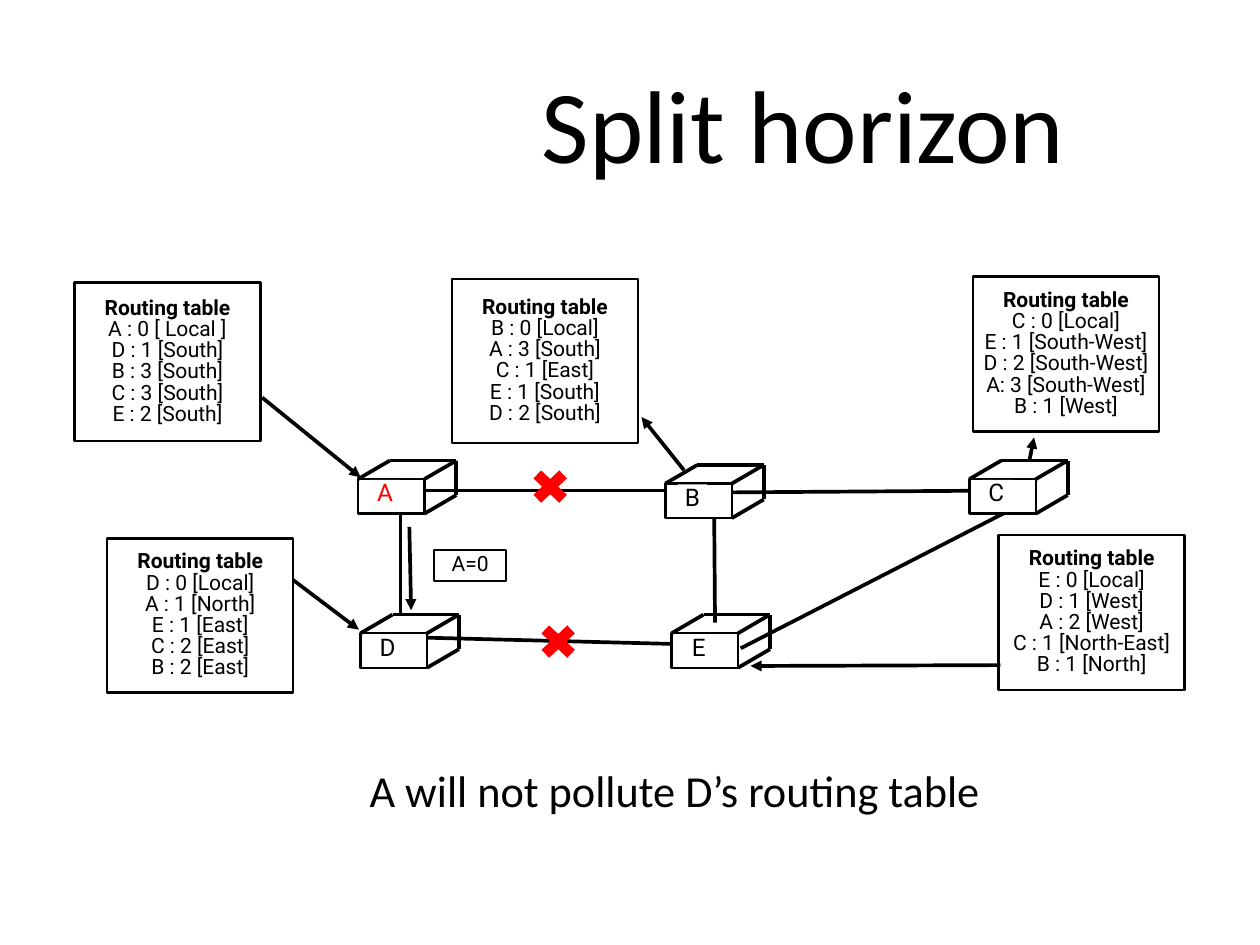
"""Build the split horizon routing slide on a grid of tenth-inch cells."""
from dataclasses import dataclass

from lxml.etree import SubElement
from pptx import Presentation
from pptx.dml.color import RGBColor
from pptx.enum.shapes import MSO_CONNECTOR as Connector, MSO_SHAPE as Preset
from pptx.enum.text import MSO_ANCHOR as Anchor, PP_ALIGN as Align
from pptx.oxml.ns import qn
from pptx.util import Emu, Inches, Pt

CELL = Inches(0.1)
COLUMNS, ROWS = 142.2, 106.7
COLORS = {"ink": "000000", "paper": "FFFFFF", "alert": "FF0000"}
LINE_SPACING = 0.84
CUBE_WIDTH, CUBE_HEIGHT = 7.5, 3.9
DEPTH_X, DEPTH_Y = 3.6, -2.1
TABLE_WIDTH = 21


@dataclass(frozen=True)
class Area:
    column: float
    row: float
    width: float
    height: float

    def emu(self) -> list[Emu]:
        return [cells(n) for n in (self.column, self.row, self.width, self.height)]


@dataclass(frozen=True)
class Stroke:
    start: tuple[float, float]
    end: tuple[float, float]
    arrow: bool = False


@dataclass(frozen=True)
class Router:
    name: str
    column: float
    row: float
    color: str = "ink"


@dataclass(frozen=True)
class RoutingTable:
    column: float
    row: float
    height: float
    routes: tuple[str, ...]


LINKS = (
    Stroke((45.2, 57.9), (45.2, 69.4)),
    Stroke((48.1, 72), (79.5, 72.8)),
    Stroke((47.5, 55.4), (79.2, 55.4)),
    Stroke((80.6, 57.8), (80.7, 70.3)),
    Stroke((83.6, 73.2), (113.4, 57.9)),
    Stroke((82.1, 55.6), (111.9, 55.4)),
)
ROUTERS = (
    Router("A", 40.4, 54.1, "alert"),
    Router("B", 75.1, 54.6),
    Router("C", 109.4, 54.1),
    Router("D", 40.7, 71.5),
    Router("E", 75.8, 71.5),
)
TABLES = (
    RoutingTable(8.4, 31.9, 17.9, ("A : 0 [ Local ]", "D : 1 [South]", "B : 3 [South]",
                                   "C : 3 [South]", "E : 2 [South]")),
    RoutingTable(51, 31.5, 18.5, ("B : 0 [Local]", "A : 3 [South]", "C : 1 [East]",
                                  "E : 1 [South]", "D : 2 [South]")),
    RoutingTable(109.8, 31.2, 17.5, ("C : 0 [Local]", "E : 1 [South-West]",
                                     "D : 2 [South-West]", "A: 3 [South-West]",
                                     "B : 1 [West]")),
    RoutingTable(12.1, 60.8, 17.4, ("D : 0 [Local]", "A : 1 [North]", "E : 1 [East]",
                                    "C : 2 [East]", "B : 2 [East]")),
    RoutingTable(112.7, 60.4, 17.5, ("E : 0 [Local]", "D : 1 [West]", "A : 2 [West]",
                                     "C : 1 [North-East]", "B : 1 [North]")),
)
ARROWS = (
    Stroke((29.6, 44.9), (40.7, 53.9), True),
    Stroke((77.2, 53.1), (72.4, 47.1), True),
    Stroke((116.2, 51.9), (116.7, 49.4), True),
    Stroke((33.1, 65.5), (40.5, 71.1), True),
    Stroke((112.9, 75.1), (84.7, 75.2), True),
    Stroke((46.2, 59.5), (46.4, 68.9), True),
)
BLOCKS = (Area(59.3, 52.3, 5.6, 5.3), Area(60.2, 69.8, 5.6, 5.3))


def cells(count: float) -> Emu:
    return Emu(round(count * CELL))


def rgb(name: str) -> RGBColor:
    return RGBColor.from_string(COLORS[name])


def write(box, text: str, size: float, font: str = "Roboto", color: str = "ink",
          anchor=Anchor.MIDDLE, inset: float = 0, wrap: bool = True) -> None:
    frame = box.text_frame
    frame.text = text
    frame.word_wrap = wrap
    frame.vertical_anchor = anchor
    frame.margin_left = frame.margin_right = cells(inset)
    frame.margin_top = frame.margin_bottom = cells(inset)
    for para in frame.paragraphs:
        para.alignment = Align.CENTER
        para.line_spacing = LINE_SPACING
        for span in para.runs:
            span.font.size = Pt(size)
            span.font.name = font
            span.font.color.rgb = rgb(color)


def draw_shape(page, preset, area: Area, fill: str = "", line: str = ""):
    box = page.shapes.add_shape(preset, *area.emu())
    box.shadow.inherit = False
    if fill:
        box.fill.solid()
        box.fill.fore_color.rgb = rgb(fill)
    else:
        box.fill.background()
    if line:
        box.line.color.rgb = rgb(line)
        box.line.width = Pt(2)
    else:
        box.line.fill.background()
    return box


def draw_frame(page, area: Area, fill: str = ""):
    box = draw_shape(page, Preset.ROUNDED_RECTANGLE, area, fill, "ink")
    box.adjustments[0] = 0
    return box


def draw_stroke(page, stroke: Stroke) -> None:
    ends = [cells(n) for n in stroke.start + stroke.end]
    line = page.shapes.add_connector(Connector.STRAIGHT, *ends)
    line.line.color.rgb = rgb("ink")
    line.line.width = Pt(3)
    properties = line._element.spPr
    if stroke.arrow:
        SubElement(properties.find(qn("a:ln")), qn("a:tailEnd"), type="triangle")
    SubElement(properties, qn("a:effectLst"))


def draw_router(page, router: Router) -> None:
    left, top = router.column, router.row
    right, bottom = left + CUBE_WIDTH, top + CUBE_HEIGHT
    draw_frame(page, Area(left, top, CUBE_WIDTH, CUBE_HEIGHT), "paper")
    front = ((left, top), (right, top), (right, bottom))
    back = tuple((column + DEPTH_X, row + DEPTH_Y) for column, row in front)
    for start, end in (*zip(front, back), *zip(back, back[1:])):
        draw_stroke(page, Stroke(start, end))
    label = draw_shape(page, Preset.RECTANGLE, Area(left + 1.4, top + 0.1, 3.3, 3.3), "paper")
    write(label, router.name, 19.7, color=router.color, wrap=False)


def draw_table(page, table: RoutingTable) -> None:
    box = draw_frame(page, Area(table.column, table.row, TABLE_WIDTH, table.height))
    write(box, "\n".join(("Routing table", *table.routes)), 17.1)
    box.text_frame.paragraphs[0].runs[0].font.bold = True


def main() -> None:
    deck = Presentation()
    deck.slide_width, deck.slide_height = cells(COLUMNS), cells(ROWS)
    page = deck.slides.add_slide(deck.slide_layouts[6])

    title = page.shapes.add_textbox(*Area(48.1, 4.1, 85.1, 17.3).emu())
    write(title, "Split horizon", 84, "Calibri", anchor=Anchor.BOTTOM, inset=0.6)
    caption = page.shapes.add_textbox(*Area(22.5, 86.5, 107.3, 15).emu())
    write(caption, "A will not pollute D’s routing table", 36, "Calibri",
          anchor=Anchor.TOP, inset=0.6)

    for link in LINKS:
        draw_stroke(page, link)
    for router in ROUTERS:
        draw_router(page, router)
    for table in TABLES:
        draw_table(page, table)
    write(draw_frame(page, Area(49, 62.1, 8.1, 3.5)), "A=0", 17.1)
    for arrow in ARROWS:
        draw_stroke(page, arrow)
    for block in BLOCKS:
        draw_shape(page, Preset.MATH_MULTIPLY, block, "alert")
    deck.save("out.pptx")


if __name__ == "__main__":
    main()
